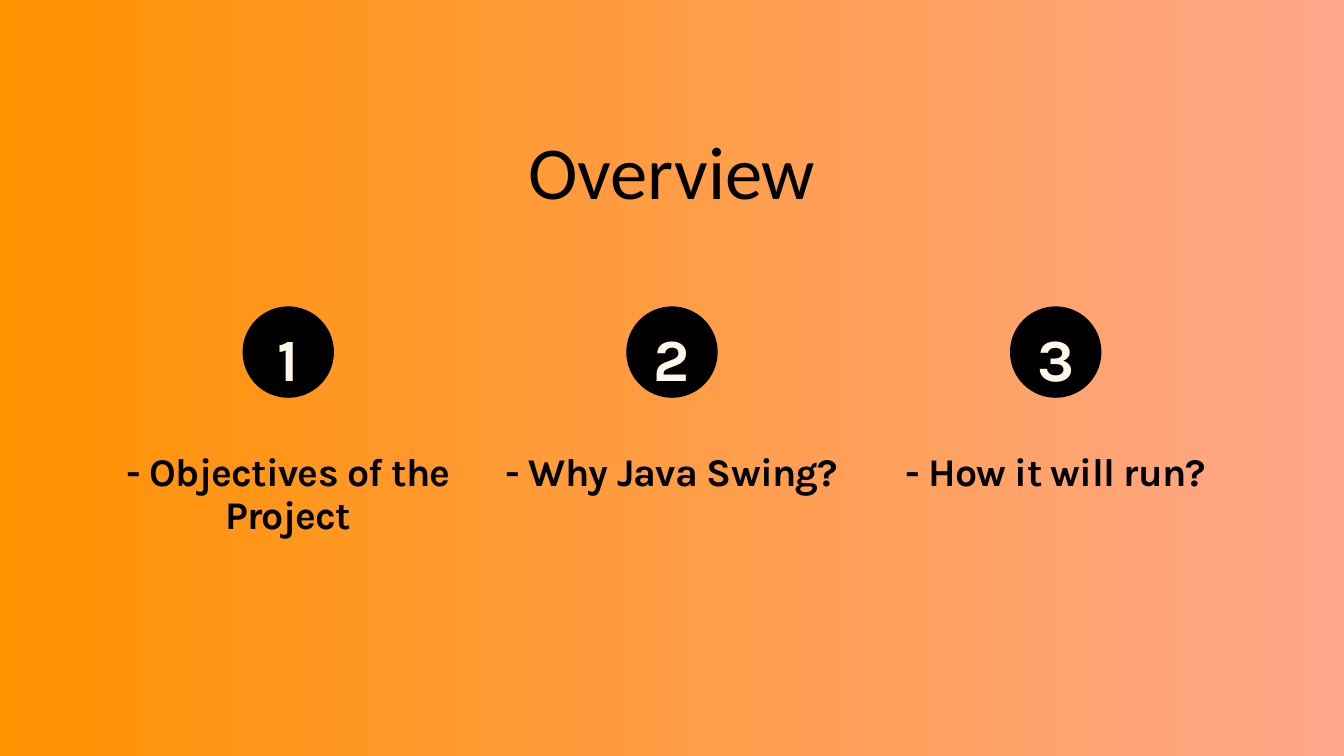
from pptx import Presentation
from pptx.dml.color import RGBColor
from pptx.enum.shapes import MSO_SHAPE
from pptx.enum.text import MSO_ANCHOR, MSO_AUTO_SIZE, PP_ALIGN
from pptx.util import Inches, Pt

COLORS = {"ink": "000000", "cream": "FFF6EA", "orange": "FF9200", "peach": "FFA78B"}
FRAME = {"margin_left": 0, "margin_right": 0, "margin_top": 0, "margin_bottom": 0,
         "word_wrap": True, "vertical_anchor": MSO_ANCHOR.TOP,
         "auto_size": MSO_AUTO_SIZE.SHAPE_TO_FIT_TEXT}
TITLE = {"name": "Calibri", "size": Pt(80), "bold": False}
LABEL = {"name": "Karla", "size": Pt(42), "bold": True}
NUMBER = {"name": "Karla", "size": Pt(64), "bold": True}
TOPICS = ["- Objectives of the Project", "- Why Java Swing?", "- How it will run?"]
CENTER, PITCH = 10, 5.71
LABEL_WIDTH, BADGE = 5.01, 1.36


def rgb(name):
    return RGBColor.from_string(COLORS[name])


def apply(target, values):
    for key, value in values.items():
        setattr(target, key, value)


class Deck:
    """Holds the presentation, its current slide and the text style."""

    def __init__(self, width, height):
        self.prs = Presentation()
        self.prs.slide_width = Inches(width)
        self.prs.slide_height = Inches(height)
        self.s = self.prs.slides.add_slide(self.prs.slide_layouts[5])

    def background(self, *names):
        fill = self.s.background.fill
        fill.gradient()
        fill.gradient_angle = 0
        for stop, name in zip(fill.gradient_stops, names):
            stop.color.rgb = rgb(name)

    def set_text(self, sp, text, font, leading, color="ink", spacing=0):
        tf = sp.text_frame
        apply(tf, FRAME)
        p = tf.paragraphs[0]
        apply(p, {"alignment": PP_ALIGN.CENTER, "line_spacing": Pt(leading)})
        r = p.add_run()
        r.text = text
        apply(r.font, font)
        r.font.color.rgb = rgb(color)
        if spacing:
            r._r.get_or_add_rPr().set("spc", str(int(spacing * 100)))

    def title(self, text, left, top, width, height):
        sp = self.s.shapes.title
        apply(sp, {"left": Inches(left), "top": Inches(top),
                   "width": Inches(width), "height": Inches(height)})
        self.set_text(sp, text, TITLE, 96)

    def label(self, text, center, top, height):
        sp = self.s.shapes.add_textbox(Inches(center - LABEL_WIDTH / 2), Inches(top),
                                       Inches(LABEL_WIDTH), Inches(height))
        self.set_text(sp, text, LABEL, 46.2, spacing=-0.8)

    def badge(self, number, center, top):
        group = self.s.shapes.add_group_shape()
        left, size = Inches(center - BADGE / 2), Inches(BADGE)
        sp = group.shapes.add_shape(MSO_SHAPE.OVAL, left, Inches(top), size, size)
        sp.shadow.inherit = False
        sp.fill.solid()
        sp.fill.fore_color.rgb = rgb("ink")
        sp.line.fill.background()
        sp = group.shapes.add_textbox(left, Inches(top - 0.1), size, Inches(1.31))
        self.set_text(sp, str(number), NUMBER, 100.5, "cream", -1.6)


def main():
    deck = Deck(20, 11.25)
    deck.background("orange", "peach")
    deck.title("Overview", 4.06, 1.86, 11.88, 1.34)
    for i, topic in enumerate(TOPICS):
        center = CENTER + (i - 1) * PITCH
        deck.label(topic, center, 6.71, 1.29 if i == 0 else 0.65)
        deck.badge(i + 1, center, 4.56)
    deck.prs.save("out.pptx")


if __name__ == "__main__":
    main()
